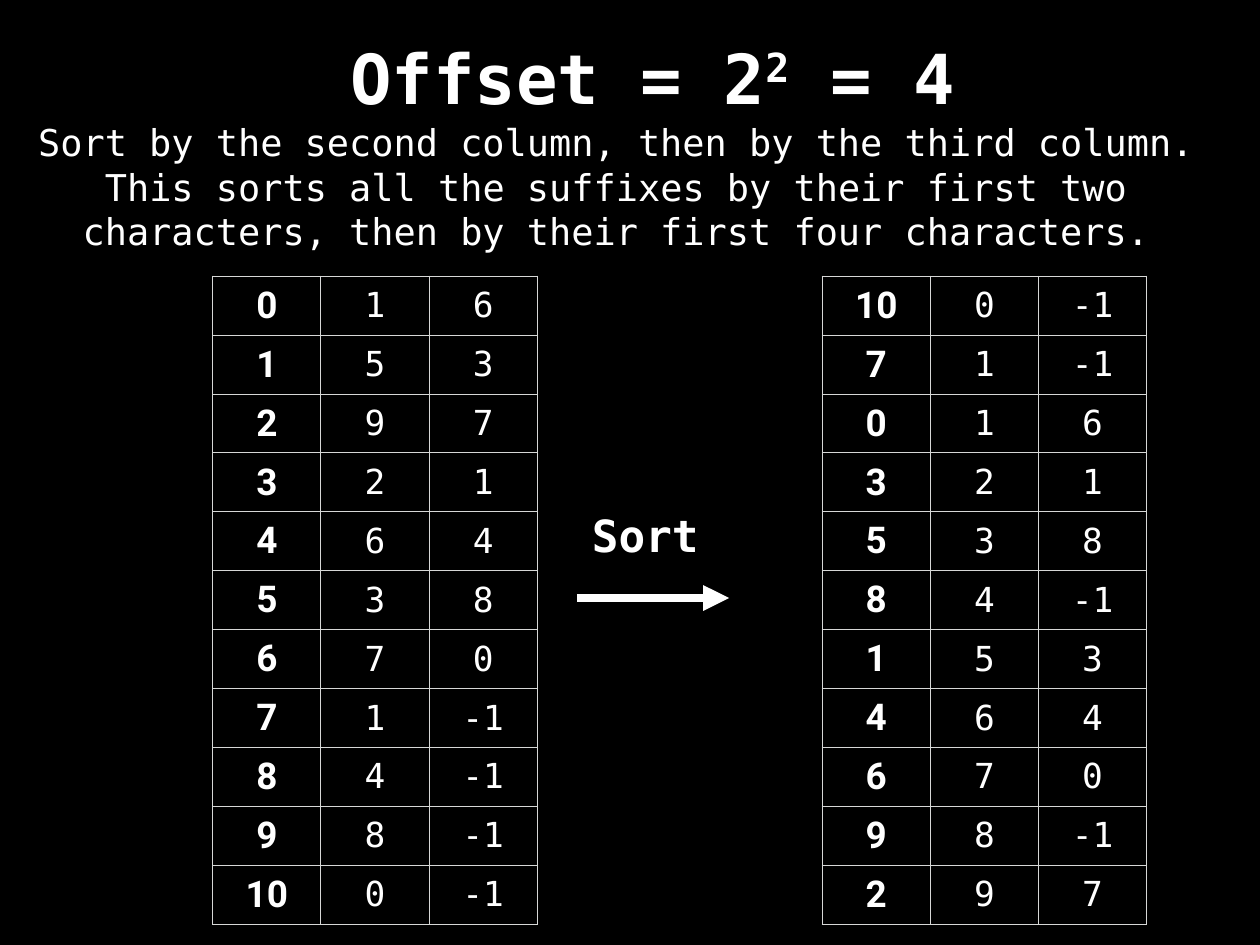
"""Build the slide that sorts suffixes by their first four characters."""
from lxml import etree
from pptx import Presentation, util as u
from pptx.dml.color import RGBColor
from pptx.enum import shapes, text
from pptx.oxml import ns

COLOURS = {"background": "000000", "text": "FFFFFF", "border": "D6D7D6"}
MONO, INDEX = "DejaVu Sans Mono", "Roboto"
INSET = u.Cm(0.14)
COLUMN_WIDTH, ROW_HEIGHT = u.Cm(3.1), u.Cm(1.69)

SUFFIXES = [
    (0, 1, 6), (1, 5, 3), (2, 9, 7), (3, 2, 1), (4, 6, 4), (5, 3, 8),
    (6, 7, 0), (7, 1, -1), (8, 4, -1), (9, 8, -1), (10, 0, -1),
]
SORTED_SUFFIXES = sorted(SUFFIXES, key=lambda suffix: suffix[1:])


def style_paragraph(para, size, bold, face=MONO):
    para.alignment = text.PP_ALIGN.CENTER
    para.font.name = face
    para.font.size = u.Pt(size)
    para.font.bold = bold
    para.font.color.rgb = RGBColor.from_string(COLOURS["text"])


deck = Presentation()
deck.slide_width, deck.slide_height = u.Cm(36.12), u.Cm(27.1)
page = deck.slides.add_slide(deck.slide_layouts[6])
page.background.fill.solid()
page.background.fill.fore_color.rgb = RGBColor.from_string(COLOURS["background"])

explanation = (
    "Sort by the second column, then by the third column. "
    "This sorts all the suffixes by their first two characters, "
    "then by their first four characters."
)
for left, top, width, height, size, bold, wrap, pieces in [
    (5.99, 0.91, 25.45, 2.57, 56, True, True, ["Offset = 2", "2", " = 4"]),
    (0.64, 3.35, 34.04, 3.99, 30, False, True, [explanation]),
    (16.81, 14.48, 3.38, 1.73, 36, True, False, ["Sort"]),
]:
    box = page.shapes.add_textbox(u.Cm(left), u.Cm(top), u.Cm(width), u.Cm(height))
    frame = box.text_frame
    frame.word_wrap = wrap
    frame.auto_size = text.MSO_AUTO_SIZE.SHAPE_TO_FIT_TEXT
    frame.vertical_anchor = text.MSO_ANCHOR.MIDDLE
    frame.margin_left = frame.margin_right = INSET
    frame.margin_top = frame.margin_bottom = INSET
    para = frame.paragraphs[0]
    style_paragraph(para, size, bold)
    for position, piece in enumerate(pieces):
        span = para.add_run()
        span.text = piece
        if position == 1:
            span.font._element.set("baseline", "32000")

arrow = page.shapes.add_connector(
    shapes.MSO_CONNECTOR.STRAIGHT, u.Cm(16.54), u.Cm(17.15), u.Cm(20.9), u.Cm(17.15)
)
arrow.line.width = u.Pt(7)
arrow.line.color.rgb = RGBColor.from_string(COLOURS["text"])
etree.SubElement(arrow.line._get_or_add_ln(), ns.qn("a:tailEnd"), type="triangle")
etree.SubElement(arrow._element.spPr, ns.qn("a:effectLst"))

for left, suffixes in [(6.1, SUFFIXES), (23.57, SORTED_SUFFIXES)]:
    table = page.shapes.add_table(
        len(suffixes), 3, u.Cm(left), u.Cm(7.92),
        COLUMN_WIDTH * 3, ROW_HEIGHT * len(suffixes),
    ).table
    table.first_row = table.horz_banding = False
    for column in table.columns:
        column.width = COLUMN_WIDTH
    for row, suffix in zip(table.rows, suffixes):
        row.height = ROW_HEIGHT
        for position, (cell, value) in enumerate(zip(row.cells, suffix)):
            cell.text = str(value)
            cell.vertical_anchor = text.MSO_ANCHOR.MIDDLE
            cell.margin_left = cell.margin_right = INSET
            cell.margin_top = cell.margin_bottom = INSET
            if position == 0:
                style_paragraph(cell.text_frame.paragraphs[0], 30, True, INDEX)
            else:
                style_paragraph(cell.text_frame.paragraphs[0], 28, False)
            properties = cell._tc.get_or_add_tcPr()
            for side in ("a:lnL", "a:lnR", "a:lnT", "a:lnB"):
                border = etree.SubElement(properties, ns.qn(side), w=str(u.Pt(1)))
                fill = etree.SubElement(border, ns.qn("a:solidFill"))
                etree.SubElement(fill, ns.qn("a:srgbClr"), val=COLOURS["border"])
            cell.fill.background()

deck.save("out.pptx")
